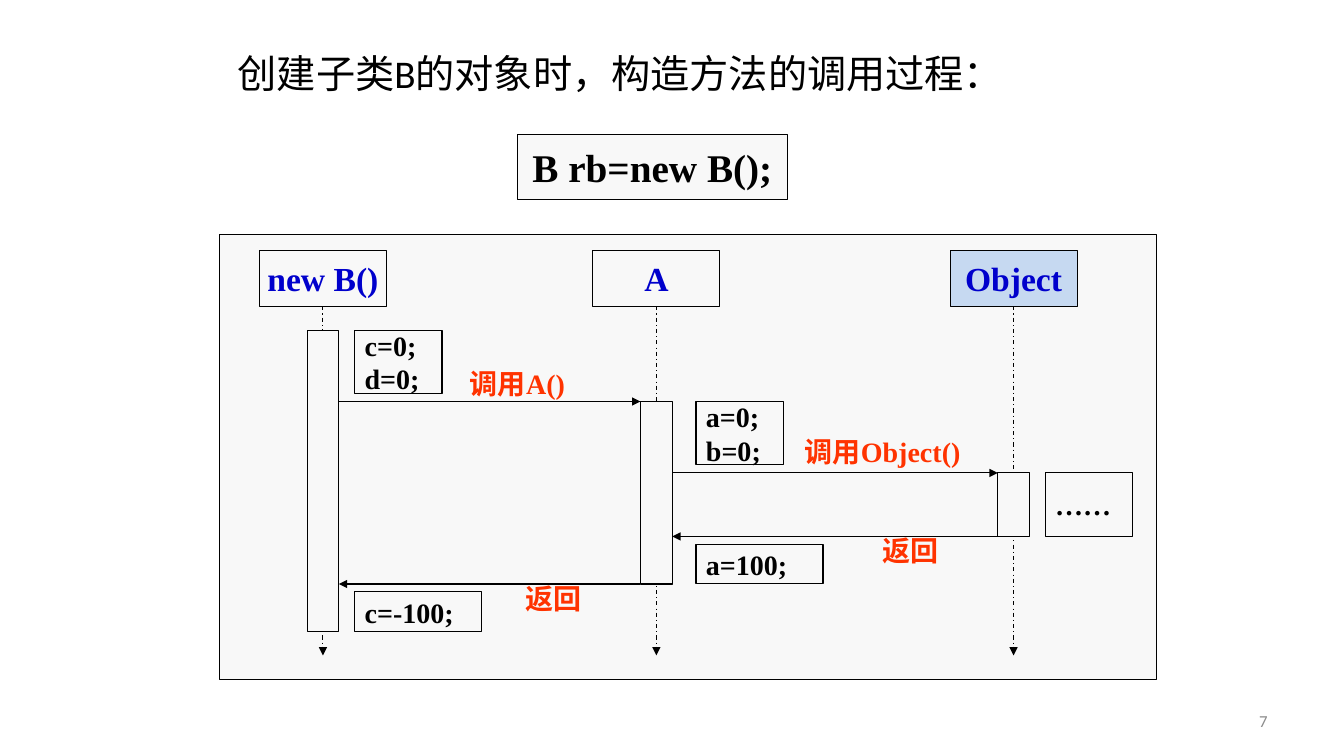
from lxml import etree
from pptx import Presentation
from pptx import util as u
from pptx.dml.color import RGBColor
from pptx.enum import dml, shapes, text
from pptx.oxml.ns import qn

BLACK = RGBColor(0x00, 0x00, 0x00)
BLUE = RGBColor(0x00, 0x00, 0xCC)
RED = RGBColor(0xFF, 0x33, 0x00)
GREY = RGBColor(0x8C, 0x8C, 0x8C)
PALE = RGBColor(0xF8, 0xF8, 0xF8)
SKY = RGBColor(0xC6, 0xD9, 0xF1)

LEFT, CENTER, RIGHT = text.PP_ALIGN.LEFT, text.PP_ALIGN.CENTER, text.PP_ALIGN.RIGHT
TOP, MIDDLE = text.MSO_ANCHOR.TOP, text.MSO_ANCHOR.MIDDLE

# The diagram frame is a grid of square cells.
FRAME_LEFT, FRAME_TOP = 2.18, 2.33
COLUMNS, ROWS = 118, 56
CELL = 9.29 / COLUMNS

HEAD_TOP, HEAD_WIDTH, HEAD_HEIGHT = 2, 16, 7
BAR_WIDTH, LIFELINE_END = 4, 53


def cell_point(column, row):
    return u.Inches(FRAME_LEFT + column * CELL), u.Inches(FRAME_TOP + row * CELL)


def cell_area(column, row, width, height):
    return *cell_point(column, row), u.Inches(width * CELL), u.Inches(height * CELL)


def inch_area(*lengths):
    return [u.Inches(length) for length in lengths]


class SequencePage:
    """Holds the line style and the slide that is being drawn."""

    def __init__(self, page, line_width=0.75, font="Times New Roman"):
        self.page = page
        self.line_width = u.Pt(line_width)
        self.font = font

    def fill_text(self, shape, words, size, color=BLACK, bold=True, font=None,
                  align=LEFT, anchor=MIDDLE, wrap=False):
        frame = shape.text_frame
        frame.word_wrap = wrap
        frame.vertical_anchor = anchor
        style = {"name": font or self.font, "size": u.Pt(size), "bold": bold}
        for index, line in enumerate(words.split("\n")):
            para = frame.add_paragraph() if index else frame.paragraphs[0]
            para.alignment = align
            span = para.add_run()
            span.text = line
            for name, value in style.items():
                setattr(span.font, name, value)
            span.font.color.rgb = color

    def box(self, area, words="", size=20, fill=PALE, **style):
        shape = self.page.shapes.add_shape(shapes.MSO_SHAPE.RECTANGLE, *area)
        shape.shadow.inherit = False
        shape.fill.solid()
        shape.fill.fore_color.rgb = fill
        shape.line.color.rgb = BLACK
        shape.line.width = self.line_width
        if words:
            self.fill_text(shape, words, size, **style)
        return shape

    def label(self, area, words, size=20, **style):
        self.fill_text(self.page.shapes.add_textbox(*area), words, size, **style)

    def arrow(self, start, end, dashed=False):
        arrow = self.page.shapes.add_connector(
            shapes.MSO_CONNECTOR.STRAIGHT, *cell_point(*start), *cell_point(*end))
        arrow.line.color.rgb = BLACK
        arrow.line.width = self.line_width
        if dashed:
            arrow.line.dash_style = dml.MSO_LINE.DASH_DOT
        properties = arrow._element.spPr
        etree.SubElement(properties.find(qn("a:ln")), qn("a:tailEnd"), type="triangle")
        etree.SubElement(properties, qn("a:effectLst"))
        return arrow

    def participant(self, name, axis, bar_top, bar_bottom, fill=PALE):
        """Draws the head, the lifeline and the activation bar round one axis."""
        head = self.box(
            cell_area(axis - HEAD_WIDTH / 2, HEAD_TOP, HEAD_WIDTH, HEAD_HEIGHT),
            name, 24, fill, color=BLUE, align=CENTER)
        lifeline = self.arrow((axis, HEAD_TOP + HEAD_HEIGHT), (axis, LIFELINE_END), True)
        lifeline.begin_connect(head, 2)
        self.box(cell_area(axis - BAR_WIDTH / 2, bar_top, BAR_WIDTH, bar_bottom - bar_top))


def main():
    deck = Presentation()
    deck.slide_width, deck.slide_height = u.Inches(13.33), u.Inches(7.5)
    page = SequencePage(deck.slides.add_slide(deck.slide_layouts[6]))

    page.label(inch_area(2.26, 0.44, 7.8, 0.57), "创建子类B的对象时，构造方法的调用过程：",
               28, bold=False, font="Calibri", anchor=TOP)
    page.box(inch_area(5.13, 1.33, 2.68, 0.65), "B rb=new B();", 28, align=CENTER)
    page.box(cell_area(0, 0, COLUMNS, ROWS))

    for name, axis, bar_top, bar_bottom, fill in (
            ("new B()", 13, 12, 50, PALE),
            ("A", 55, 21, 44, PALE),
            ("Object", 100, 30, 38, SKY)):
        page.participant(name, axis, bar_top, bar_bottom, fill)

    for start, end, row in ((15, 53, 21), (57, 98, 30), (99, 57, 38), (53, 15, 44)):
        page.arrow((start, row), (end, row))

    for words, *cells in (
            ("c=0;\nd=0;", 17, 12, 11, 8),
            ("a=0;\nb=0;", 60, 21, 11, 8),
            ("……", 104, 30, 11, 8),
            ("a=100;", 60, 39, 16, 5),
            ("c=-100;", 17, 45, 16, 5)):
        page.box(cell_area(*cells), words)

    for words, column, row, width in (
            ("调用A()", 25, 16, 25),
            ("调用Object()", 71, 24.5, 25),
            ("返回", 80, 37, 14),
            ("返回", 35, 43, 14)):
        page.label(cell_area(column, row, width, 5.5), words,
                   color=RED, align=CENTER, anchor=TOP, wrap=True)

    page.label(inch_area(9.56, 6.95, 3.11, 0.4), "7", 12, color=GREY, bold=False,
               font="Calibri", align=RIGHT, wrap=True)
    deck.save("out.pptx")


if __name__ == "__main__":
    main()
